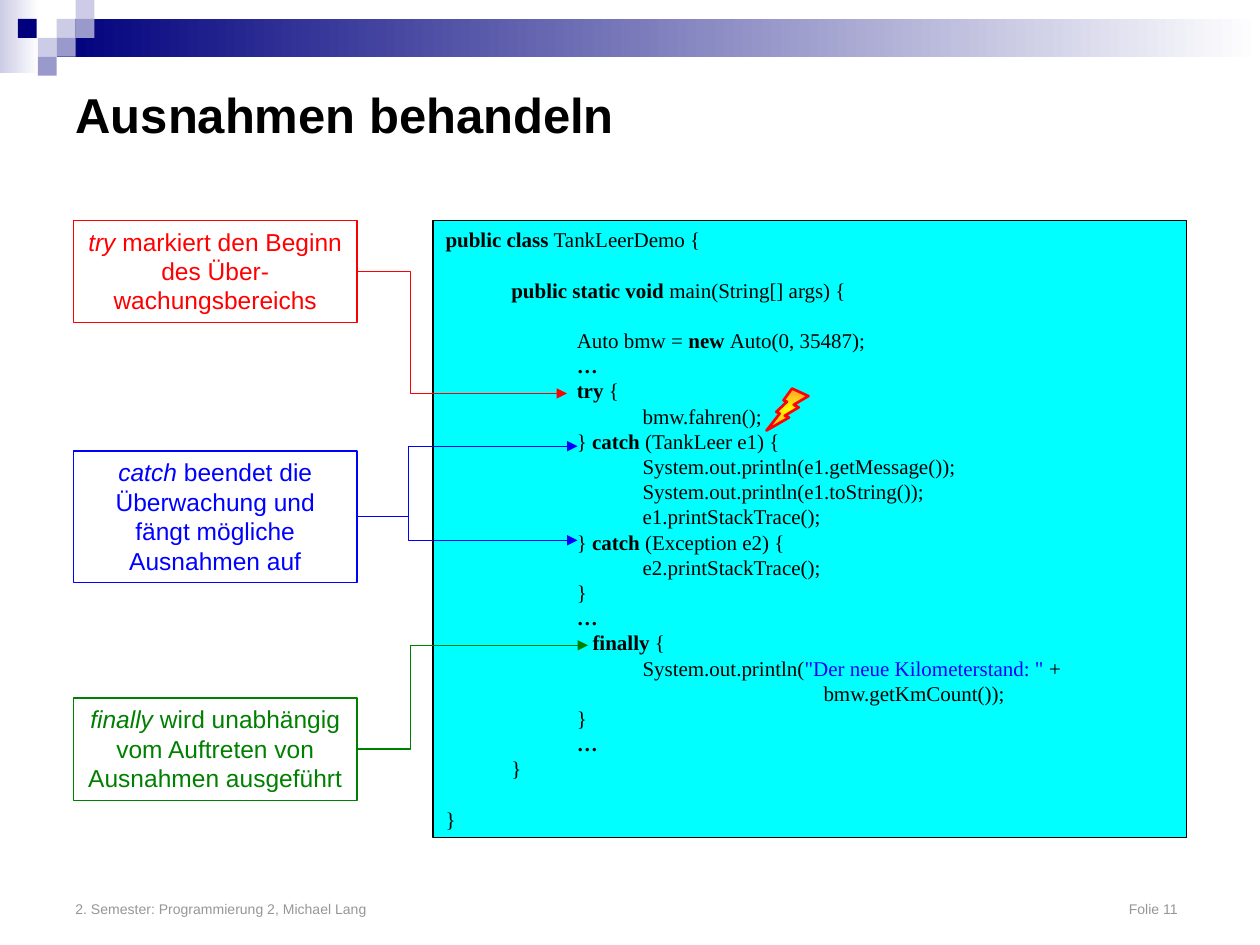
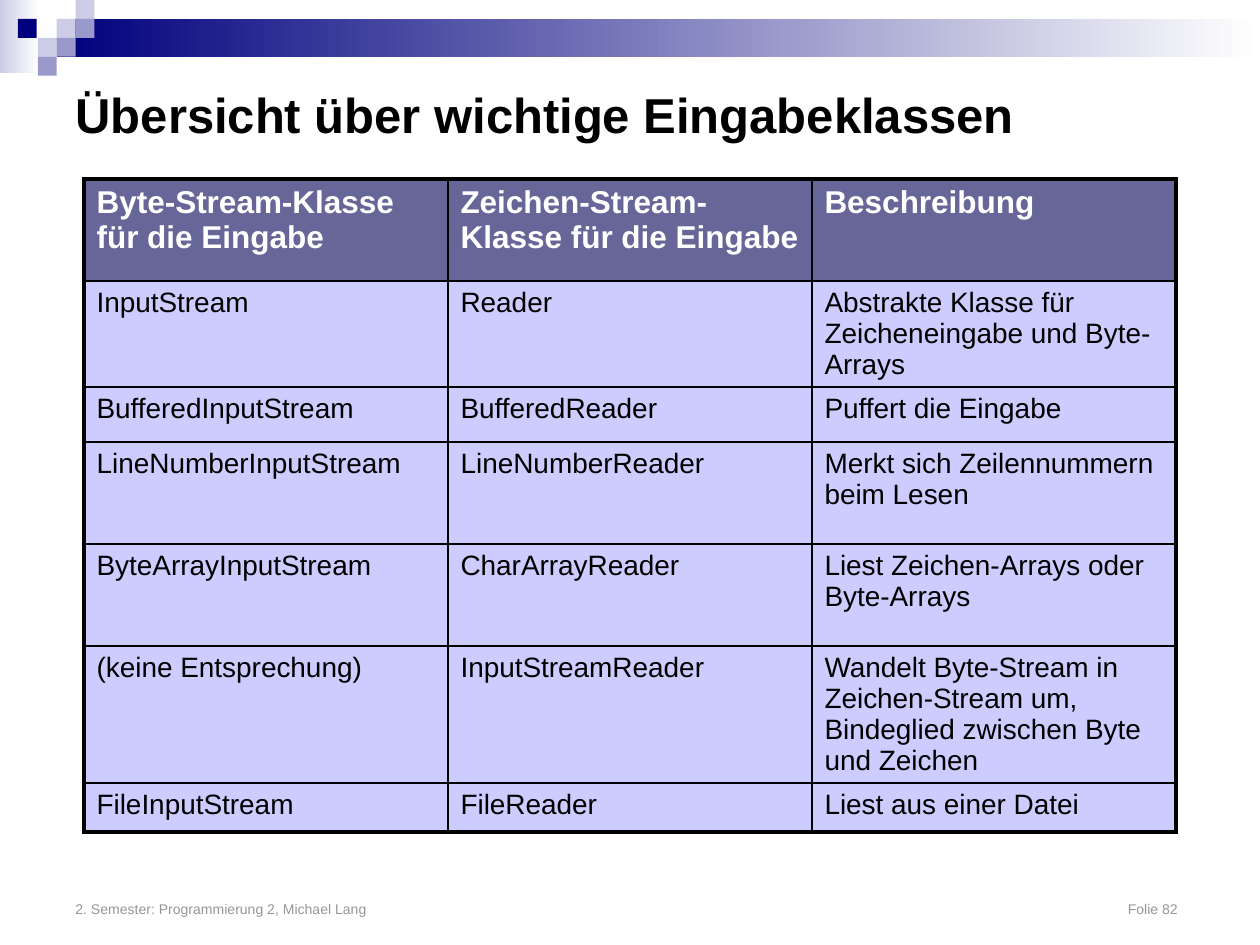
import pptx
import pptx.util
import pptx.dml.color
import pptx.enum.shapes
import pptx.enum.text
import pptx.oxml
import pptx.oxml.ns
from lxml import etree

Pt = pptx.util.Pt
qn = pptx.oxml.ns.qn
SHAPE = pptx.enum.shapes.MSO_SHAPE
ANCHOR = pptx.enum.text.MSO_ANCHOR
ALIGN = pptx.enum.text.PP_ALIGN

COLORS = {
    "navy": "00007D", "lavender": "CCCCE6", "violet": "9999CC",
    "white": "FFFFFF", "black": "000000", "grey": "969696",
    "cyan": "00FFFF", "red": "FF0000", "blue": "0000FF", "green": "008000",
    "yellow": "FFFF00", "orange": "FF9933",
    "head": "666699", "body": "CCCCFF",
}
SANS, SERIF = "Arial", "Times New Roman"
UNIT = 10.8               # side of a square in the header mosaic
OPEN, TIGHT = 1.2, 1.11   # line height relative to the text size

# Header mosaic: column, row, colour
SQUARES = [
    (3, 1, "lavender"), (4, 0, "lavender"), (4, 1, "violet"),
    (2, 2, "lavender"), (0.94, 1, "navy"), (3, 2, "violet"), (2, 3, "violet"),
]
FOOTER = "2. Semester: Programmierung 2, Michael Lang"

# Code lines: runs of text and style; an empty line is a gap
CODE = [
    [("public class", "bold"), (" TankLeerDemo {", "")],
    [],
    [("\t", ""), ("public static void ", "bold"), ("main(String[] args) {", "")],
    [],
    [("\t\tAuto bmw = ", ""), ("new ", "bold"), ("Auto(0, 35487);", "")],
    [("\t\t", ""), ("…", "bold")],
    [("\t\t", ""), ("try", "bold"), (" {", "")],
    [("\t\t\tbmw.fahren();", "")],
    [("\t\t} ", ""), ("catch ", "bold"), ("(TankLeer e1) {", "")],
    [("\t\t\tSystem.out.println(e1.getMessage());", "")],
    [("\t\t\tSystem.out.println(e1.toString());", "")],
    [("\t\t\te1.printStackTrace();", "")],
    [("\t\t} ", ""), ("catch ", "bold"), ("(Exception e2) {", "")],
    [("\t\t\te2.printStackTrace();", "")],
    [("\t\t}", "")],
    [("\t\t", ""), ("…", "bold")],
    [("\t\t   ", ""), ("finally ", "bold"), ("{", "")],
    [("\t\t\tSystem.out.println(", ""),
     ('"Der neue Kilometerstand: "', "string"), (" +", "")],
    [("\t\t\t\t\t\tbmw.getKmCount());", "")],
    [("\t\t}", "")],
    [("\t\t", ""), ("…", "bold")],
    [("\t}", "")],
    [],
    [("}", "")],
]
CODE_TABS = [37.6, 75, 112.6, 144, 180, 216]

# Notes: top, height, colour, keyword, rest, elbow x, arrow tips (x, y)
NOTES = [
    (126, 58.4, "red", "try", " markiert den Beginn des Über-wachungsbereichs",
     234.7, [(324, 224.8)]),
    (257.8, 75, "blue", "catch",
     " beendet die Überwachung und fängt mögliche Ausnahmen auf",
     233.5, [(330, 308.8), (330, 255)]),
    (398.9, 58.4, "green", "finally",
     " wird unabhängig vom Auftreten von Ausnahmen ausgeführt",
     234.3, [(336, 368.8)]),
]
NOTE_LEFT, NOTE_WIDTH = 42, 162

CLASSES = [
    ("Byte-Stream-Klasse für die Eingabe",
     "Zeichen-Stream-Klasse für die Eingabe", "Beschreibung"),
    ("InputStream", "Reader",
     "Abstrakte Klasse für Zeicheneingabe und Byte-Arrays"),
    ("BufferedInputStream", "BufferedReader", "Puffert die Eingabe"),
    ("LineNumberInputStream", "LineNumberReader",
     "Merkt sich Zeilennummern beim Lesen"),
    ("ByteArrayInputStream", "CharArrayReader",
     "Liest Zeichen-Arrays oder Byte-Arrays"),
    ("(keine Entsprechung)", "InputStreamReader",
     "Wandelt Byte-Stream in Zeichen-Stream um, "
     "Bindeglied zwischen Byte und Zeichen"),
    ("FileInputStream", "FileReader", "Liest aus einer Datei"),
]
ROW_HEIGHTS = [58.3, 60.6, 31.5, 58.3, 58.3, 78.4, 28]
COLUMN_WIDTH = 208


def rgb(name):
    return pptx.dml.color.RGBColor.from_string(COLORS[name])


def add_run(p, text, size, color, font=SANS, bold=False, italic=False):
    r = p.add_run()
    r.text = text
    r.font.name, r.font.size = font, Pt(size)
    r.font.bold, r.font.italic = bold, italic
    r.font.color.rgb = rgb(color)


def add_tabs(p, stops, align="l"):
    tabs = etree.SubElement(p._p.get_or_add_pPr(), qn("a:tabLst"))
    for stop in stops:
        etree.SubElement(tabs, qn("a:tab"), pos=str(int(Pt(stop))), algn=align)


def add_box(s, box, fill=None, line=None, weight=0.75, kind=SHAPE.RECTANGLE):
    """Preset shape; fill is a colour, a pair for a gradient, or None."""
    sp = s.shapes.add_shape(kind, *map(Pt, box))
    sp.shadow.inherit = False
    if fill is None:
        sp.fill.background()
    elif isinstance(fill, tuple):
        sp.fill.gradient()
        sp.fill.gradient_angle = 0
        for stop, color in zip(sp.fill.gradient_stops, fill):
            stop.color.rgb = rgb(color)
    else:
        sp.fill.solid()
        sp.fill.fore_color.rgb = rgb(fill)
    if line:
        sp.line.color.rgb = rgb(line)
        sp.line.width = Pt(weight)
    else:
        sp.line.fill.background()
    sp.text_frame.word_wrap = True
    sp.text_frame.vertical_anchor = ANCHOR.TOP
    return sp


def add_base(prs, title, number):
    """Slide with header mosaic, footer and title."""
    s = prs.slides.add_slide(prs.slide_layouts[5])
    add_box(s, (0, 0, 22.3, 41.8), ("lavender", "white"))
    add_box(s, (3 * UNIT, UNIT, 720 - 3 * UNIT, 2 * UNIT), ("navy", "white"))
    for col, row, color in SQUARES:
        add_box(s, (col * UNIT, row * UNIT, UNIT, UNIT), color)

    # Footer with the slide number at a right tab
    tf = s.shapes.add_textbox(Pt(36), Pt(492), Pt(648), Pt(36)).text_frame
    tf.word_wrap = True
    tf.vertical_anchor = ANCHOR.BOTTOM
    p = tf.paragraphs[0]
    add_tabs(p, [630], "r")
    add_run(p, f"{FOOTER}\tFolie {number}", 8, "grey")

    # Title
    sp = s.shapes.title
    sp.left, sp.top, sp.width, sp.height = map(Pt, (36, 36, 648, 58.4))
    tf = sp.text_frame
    tf.auto_size = pptx.enum.text.MSO_AUTO_SIZE.NONE
    tf.vertical_anchor = ANCHOR.MIDDLE
    tf.paragraphs[0].alignment = ALIGN.LEFT
    add_run(tf.paragraphs[0], title, 28, "black", bold=True)
    return s


def add_code(s, box, lines, size=12):
    tf = add_box(s, box, "cyan", "black").text_frame
    p, gap = tf.paragraphs[0], 0
    for i, line in enumerate(lines):
        if not line:
            gap += size * OPEN
            continue
        if i:
            p = tf.add_paragraph()
        p.alignment = ALIGN.LEFT
        p.line_spacing = Pt(size * OPEN)
        if gap:
            p.space_before = Pt(gap)
            gap = 0
        add_tabs(p, CODE_TABS)
        for text, style in line:
            add_run(p, text, size, "blue" if style == "string" else "black",
                    SERIF, bold=style == "bold")


def add_bolt(s, box):
    sp = add_box(s, box, ("yellow", "orange"), "red", 1.5, SHAPE.LIGHTNING_BOLT)
    sp._element.spPr.get_or_add_xfrm().set("flipH", "1")
    grad = sp._element.spPr.find(qn("a:gradFill"))
    grad.remove(grad.find(qn("a:lin")))
    shade = etree.SubElement(grad, qn("a:path"), path="rect")
    etree.SubElement(shade, qn("a:fillToRect"), dict.fromkeys("ltrb", "50000"))


def add_note(s, top, height, color, keyword, rest, size=14):
    sp = add_box(s, (NOTE_LEFT, top, NOTE_WIDTH, height), line=color)
    p = sp.text_frame.paragraphs[0]
    p.alignment = ALIGN.CENTER
    p.line_spacing = Pt(size * OPEN)
    add_run(p, keyword, size, color, italic=True)
    add_run(p, rest, size, color)
    return sp


def add_elbow_arrow(s, note, color, elbow_x, tip):
    """Bent arrow from the right side of a note to a code line."""
    start_x = NOTE_LEFT + NOTE_WIDTH
    c = s.shapes.add_connector(
        pptx.enum.shapes.MSO_CONNECTOR.ELBOW, Pt(start_x),
        note.top + note.height // 2, Pt(tip[0]), Pt(tip[1]))
    c.begin_connect(note, 3)
    c.line.color.rgb = rgb(color)
    c.line.width = Pt(0.75)
    spPr = c._element.spPr
    etree.SubElement(spPr.find(qn("a:ln")), qn("a:tailEnd"), type="triangle")
    etree.SubElement(spPr, qn("a:effectLst"))
    geom = spPr.find(qn("a:prstGeom"))
    guides = geom.find(qn("a:avLst"))
    if guides is None:
        guides = etree.SubElement(geom, qn("a:avLst"))
    share = round((elbow_x - start_x) / (tip[0] - start_x) * 100000)
    etree.SubElement(guides, qn("a:gd"), name="adj1", fmla=f"val {share}")


def set_borders(cell, outer):
    """Thick borders on the outer sides, thin ones elsewhere."""
    tcPr = cell._tc.get_or_add_tcPr()
    for side in "LRTB":
        width = Pt(2.25 if side in outer else 1)
        ln = etree.SubElement(tcPr, qn(f"a:ln{side}"), w=str(int(width)))
        fill = etree.SubElement(ln, qn("a:solidFill"))
        etree.SubElement(fill, qn("a:srgbClr"), val=COLORS["black"])


def add_class_table(s, left, top, rows):
    n_rows, n_cols = len(rows), len(rows[0])
    table = s.shapes.add_table(
        n_rows, n_cols, Pt(left), Pt(top), Pt(n_cols * COLUMN_WIDTH),
        Pt(sum(ROW_HEIGHTS))).table
    table.first_row = table.horz_banding = False
    for column in table.columns:
        column.width = Pt(COLUMN_WIDTH)
    for i, texts in enumerate(rows):
        table.rows[i].height = Pt(ROW_HEIGHTS[i])
        head = i == 0
        size = 18 if head else 16
        for j, text in enumerate(texts):
            cell = table.cell(i, j)
            edges = {"L": j == 0, "R": j == n_cols - 1,
                     "T": head, "B": i == n_rows - 1}
            set_borders(cell, [side for side in edges if edges[side]])
            cell.fill.solid()
            cell.fill.fore_color.rgb = rgb("head" if head else "body")
            p = cell.text_frame.paragraphs[0]
            p.line_spacing = Pt(size * TIGHT)
            add_run(p, text, size, "white" if head else "black", bold=head)


def main():
    prs = pptx.Presentation()
    prs.slide_width, prs.slide_height = Pt(720), Pt(540)

    # Exception handling
    s = add_base(prs, "Ausnahmen behandeln", 11)
    add_code(s, (247.5, 126, 430.5, 352.8), CODE)
    add_bolt(s, (438, 222, 24, 24))
    for top, height, color, keyword, rest, elbow_x, tips in NOTES:
        note = add_note(s, top, height, color, keyword, rest)
        for tip in tips:
            add_elbow_arrow(s, note, color, elbow_x, tip)

    # Input classes
    s = add_base(prs, "Übersicht über wichtige Eingabeklassen", 82)
    add_class_table(s, 48, 102.2, CLASSES)

    prs.save("out.pptx")


if __name__ == "__main__":
    main()
